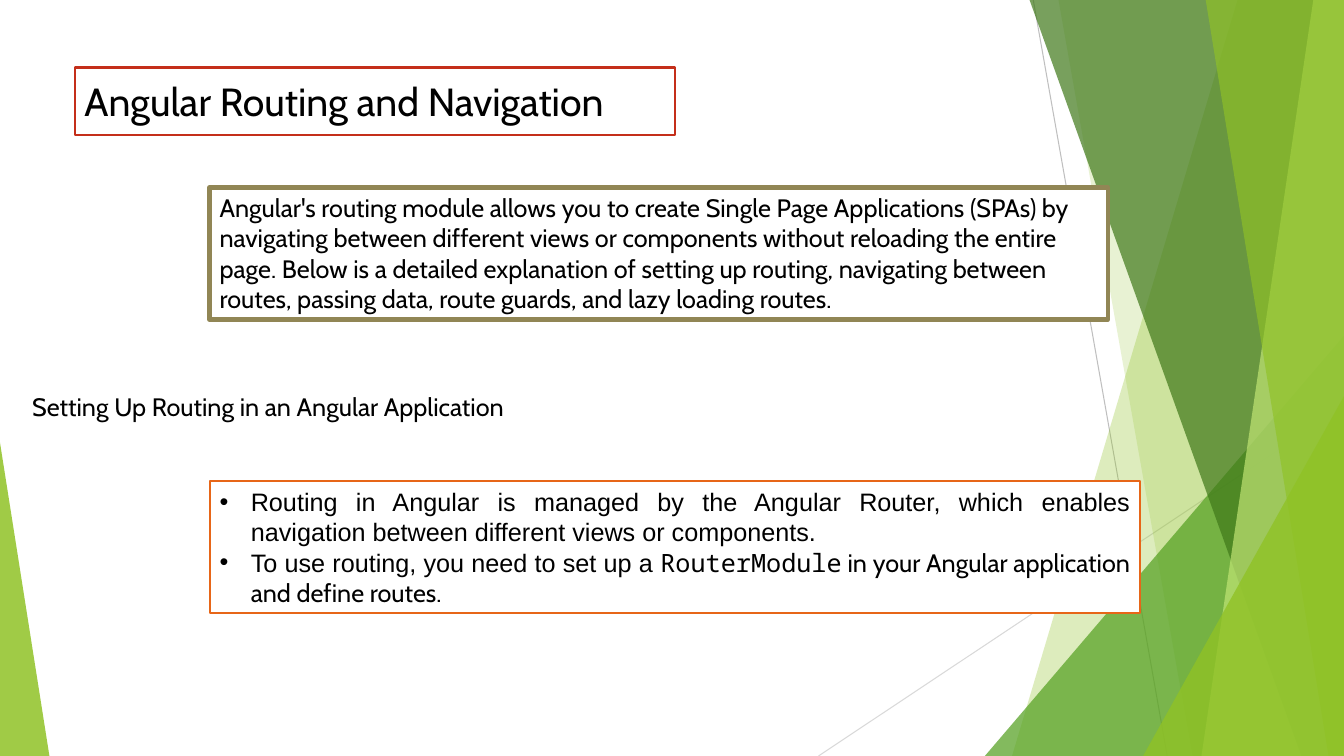
from lxml.etree import SubElement
from pptx import Presentation
from pptx.dml.color import RGBColor
from pptx.enum.shapes import MSO_CONNECTOR as Connector, MSO_SHAPE as Shape
from pptx.enum.text import MSO_ANCHOR as Anchor, MSO_AUTO_SIZE as AutoSize, PP_ALIGN as Align
from pptx.oxml.ns import qn
from pptx.util import Inches, Pt

WIDTH, HEIGHT = Inches(13.333), Inches(7.5)
TOP = -0.13  # the bands start just above the slide

BLACK = RGBColor(0x00, 0x00, 0x00)
WHITE = RGBColor(0xFF, 0xFF, 0xFF)
GREY = RGBColor(0xBF, 0xBF, 0xBF)
PALE_GREY = RGBColor(0xD9, 0xD9, 0xD9)
LIME = RGBColor(0x90, 0xC2, 0x26)
PALE_LIME = RGBColor(0xC0, 0xE4, 0x74)
GREEN = RGBColor(0x54, 0xA0, 0x21)
DARK_GREEN = RGBColor(0x3F, 0x78, 0x19)
RED = RGBColor(0xC4, 0x2F, 0x1A)
OLIVE = RGBColor(0x91, 0x86, 0x55)
ORANGE = RGBColor(0xE7, 0x66, 0x18)

BODY, PLAIN, CODE = "Cabin", "Arial", "Noto Sans Mono"


# Lengths are percentages of the slide's width and height
def across(share):
    return round(WIDTH * share / 100)


def down(share):
    return round(HEIGHT * share / 100)


def frame(left, top, width, height):
    return across(left), down(top), across(width), down(height)


# Background decoration
def tint(shape, color, opacity):
    shape.shadow.inherit = False
    shape.line.fill.background()
    shape.fill.solid()
    shape.fill.fore_color.rgb = color
    fill_color = shape.fill._xPr.find(qn("a:solidFill"))[0]
    SubElement(fill_color, qn("a:alpha"), val=str(opacity * 1000))


def add_hairline(page, start, end, color):
    line = page.shapes.add_connector(
        Connector.STRAIGHT, across(start[0]), down(start[1]), across(end[0]), down(end[1]))
    line.line.color.rgb = color
    line.line.width = Pt(0.75)
    SubElement(line._element.spPr, qn("a:effectLst"))


def add_band(page, top_left, bottom_left, color, opacity):
    """Add a band that runs from a slanted left edge to the slide's right edge."""
    outline = page.shapes.build_freeform(across(top_left), down(TOP), scale=1.0)
    corners = [(100, TOP), (100, 100), (bottom_left, 100)]
    outline.add_line_segments([(across(x), down(y)) for x, y in corners], close=True)
    tint(outline.convert_to_shape(), color, opacity)


def add_corner(page, left, top, width, apex, color, opacity):
    """Add a triangle that stands on the slide's bottom edge."""
    corner = page.shapes.add_shape(
        Shape.ISOSCELES_TRIANGLE, *frame(left, top, width, 100 - top))
    corner.adjustments[0] = apex
    tint(corner, color, opacity)


def add_decoration(page):
    add_hairline(page, (76.88, 0), (86.85, 100), GREY)
    add_hairline(page, (100, 53.73), (60.9, 100), PALE_GREY)
    add_band(page, 92.1, 75.3, LIME, 30)
    add_band(page, 78.75, 88.73, LIME, 20)
    add_corner(page, 73.28, 44.4, 26.72, 1, GREEN, 72)
    add_band(page, 76.58, 96.83, DARK_GREEN, 70)
    add_band(page, 97.73, 89.4, PALE_LIME, 70)
    add_band(page, 89.7, 98.85, LIME, 65)
    add_corner(page, 85.05, 52.4, 14.95, 1, LIME, 80)
    add_corner(page, 0, 58.53, 3.68, 0, LIME, 85)


# Text
def style(span, font, size):
    span.font.name = font
    span.font.size = Pt(size)
    span.font.color.rgb = BLACK


def add_text(page, place, text, size=18, anchor=Anchor.TOP, wrap=True):
    box = page.shapes.add_textbox(*frame(*place))
    box.text_frame.word_wrap = wrap
    box.text_frame.vertical_anchor = anchor
    box.text_frame.text = text
    for para in box.text_frame.paragraphs:
        for span in para.runs:
            style(span, BODY, size)
    return box


def add_border(box, color, width):
    box.fill.solid()
    box.fill.fore_color.rgb = WHITE
    box.line.color.rgb = color
    box.line.width = Pt(width)


def add_bullets(page, place, items):
    box = page.shapes.add_textbox(*frame(*place))
    text = box.text_frame
    text.word_wrap = True
    text.vertical_anchor = Anchor.MIDDLE
    text.auto_size = AutoSize.SHAPE_TO_FIT_TEXT
    for index, spans in enumerate(items):
        para = text.add_paragraph() if index else text.paragraphs[0]
        para.alignment = Align.JUSTIFY
        settings = para._p.get_or_add_pPr()
        settings.set("marL", str(Inches(0.31)))
        settings.set("indent", str(-Inches(0.31)))
        SubElement(settings, qn("a:buFont"), typeface=PLAIN)
        SubElement(settings, qn("a:buChar"), char="•")
        for words, font in spans:
            span = para.add_run()
            span.text = words
            style(span, font, 18)
    return box


def main():
    deck = Presentation()
    deck.slide_width, deck.slide_height = WIDTH, HEIGHT
    page = deck.slides.add_slide(deck.slide_layouts[6])
    add_decoration(page)

    # Title and introduction
    title = add_text(page, (5.55, 8.93, 44.7, 8.93), "Angular Routing and Navigation",
                     size=28, anchor=Anchor.MIDDLE)
    add_border(title, RED, 1.5)
    intro = add_text(
        page, (15.6, 24.8, 66.83, 17.47),
        "Angular's routing module allows you to create Single Page Applications (SPAs) by "
        "navigating between different views or components without reloading the entire page. "
        "Below is a detailed explanation of setting up routing, navigating between routes, "
        "passing data, route guards, and lazy loading routes.")
    intro.text_frame.auto_size = AutoSize.SHAPE_TO_FIT_TEXT
    add_border(intro, OLIVE, 3.25)

    # Setting up routing
    add_text(page, (1.65, 51.07, 38.93, 5.33),
             "Setting Up Routing in an Angular Application", wrap=False)
    steps = add_bullets(page, (15.6, 63.6, 69.23, 17.47), [
        [("Routing in Angular is managed by the Angular Router, which enables "
          "navigation between different views or components.", PLAIN)],
        [("To use routing, you need to set up a ", PLAIN),
         ("RouterModule", CODE),
         (" in your Angular application and define routes.", BODY)],
    ])
    add_border(steps, ORANGE, 1.5)

    deck.save("out.pptx")


if __name__ == "__main__":
    main()
